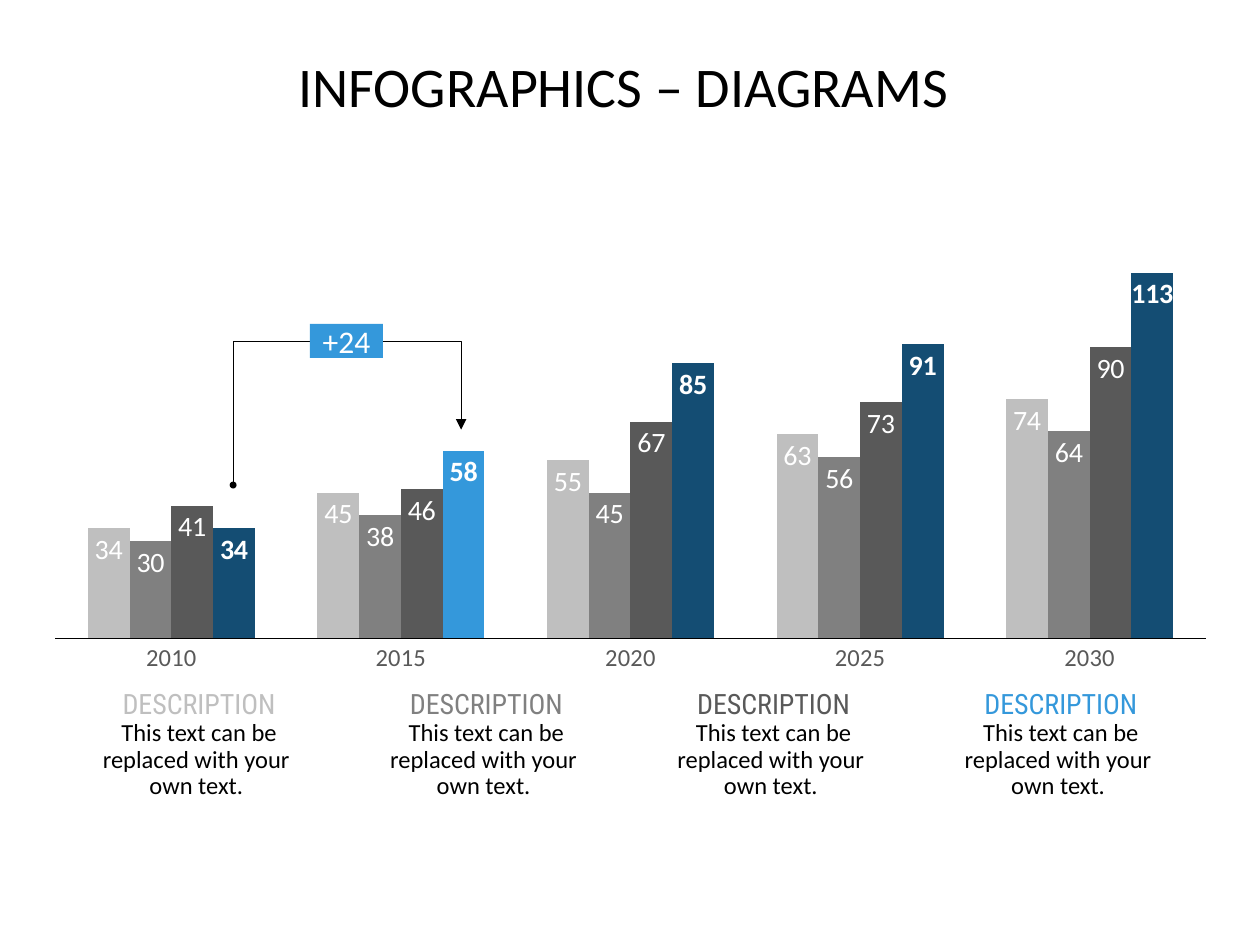
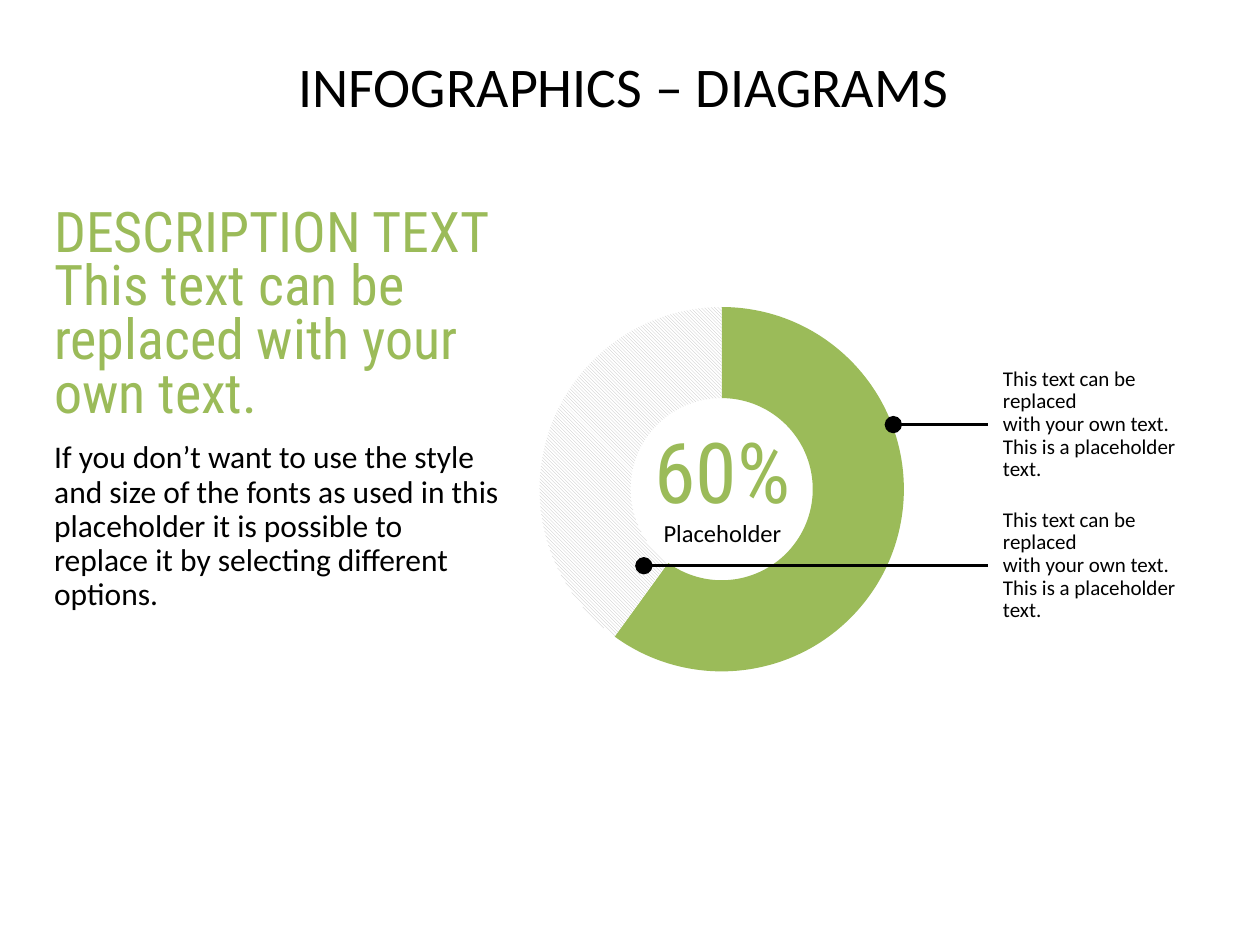
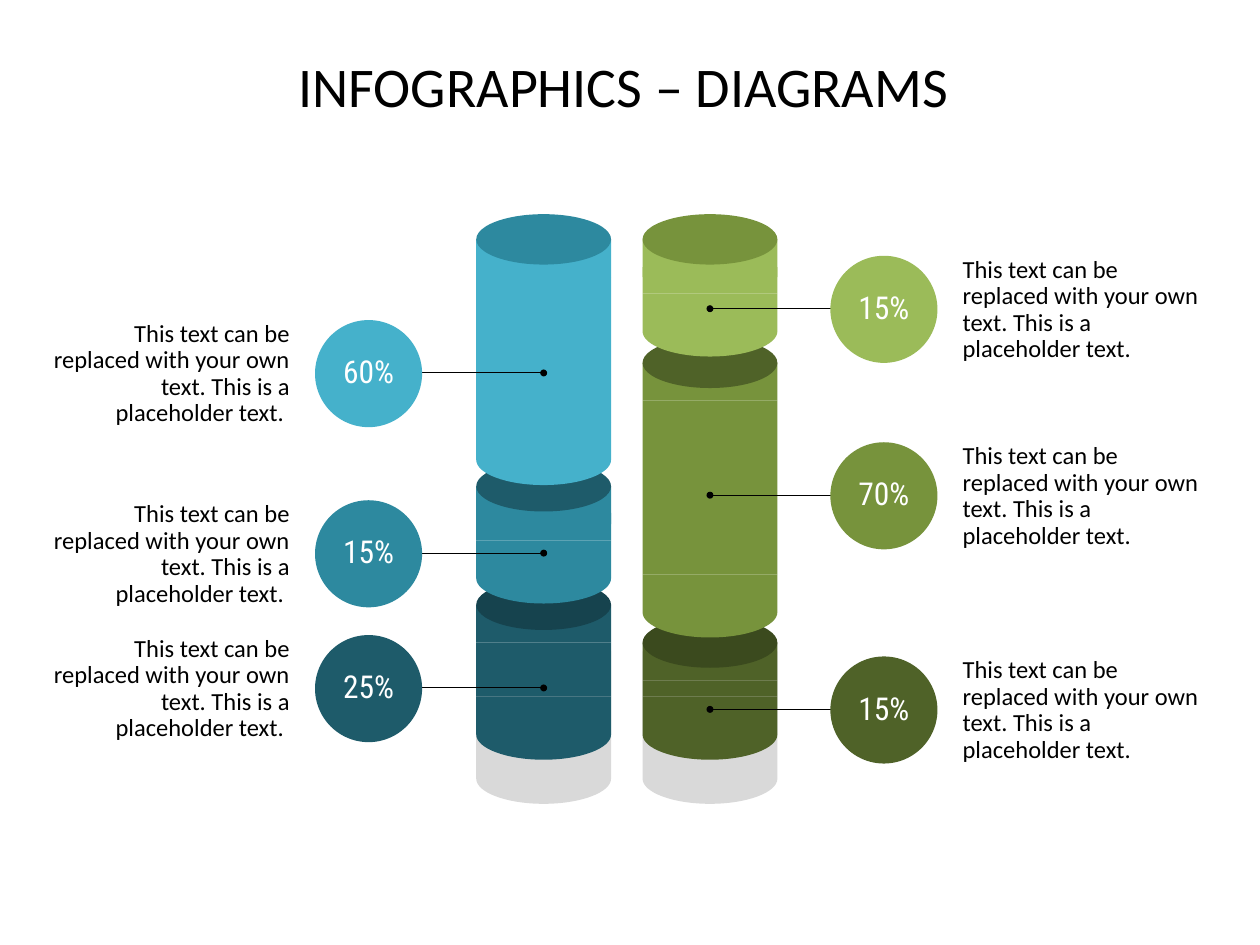
from copy import deepcopy

from lxml import etree
from pptx import Presentation
from pptx.chart.data import CategoryChartData
from pptx.dml.color import RGBColor
from pptx.enum.chart import XL_CHART_TYPE as CHART, XL_LABEL_POSITION as LABEL, XL_TICK_MARK as TICK
from pptx.enum.dml import MSO_PATTERN
from pptx.enum.shapes import MSO_CONNECTOR, MSO_SHAPE as SHAPE
from pptx.enum.text import MSO_ANCHOR as ANCHOR, MSO_AUTO_SIZE, PP_ALIGN as ALIGN
from pptx.oxml import parse_xml
from pptx.oxml.ns import nsdecls, qn
from pptx.shapes.connector import Connector
from pptx.util import Inches, Pt

BLACK = RGBColor(0, 0, 0)
WHITE = RGBColor(255, 255, 255)
PALE = RGBColor(0xD9, 0xD9, 0xD9)
SILVER = RGBColor(0xBF, 0xBF, 0xBF)
GRAY = RGBColor(0x80, 0x80, 0x80)
DARK = RGBColor(0x59, 0x59, 0x59)
NAVY = RGBColor(0x14, 0x4D, 0x73)
BLUE = RGBColor(0x34, 0x98, 0xDB)
TEAL_1 = RGBColor(0x45, 0xB1, 0xCB)
TEAL_2 = RGBColor(0x2D, 0x89, 0x9F)
TEAL_3 = RGBColor(0x1E, 0x5B, 0x6A)
TEAL_4 = RGBColor(0x16, 0x43, 0x4E)
GREEN_1 = RGBColor(0x9B, 0xBB, 0x59)
GREEN_2 = RGBColor(0x77, 0x93, 0x3C)
GREEN_3 = RGBColor(0x4F, 0x62, 0x28)
GREEN_4 = RGBColor(0x3B, 0x4A, 0x1E)
BODY = "Calibri"
HEAD = "Roboto Condensed"


def write(sp, text, size=14, font=BODY, color=BLACK, align=ALIGN.LEFT, line=0.9, after=10,
          ins=(0, 0, 0, 0), anchor=ANCHOR.TOP, join=False):
    tf = sp.text_frame
    if not join:
        tf.word_wrap = True
        tf.auto_size = MSO_AUTO_SIZE.NONE
        tf.vertical_anchor = anchor
        tf.margin_left, tf.margin_top, tf.margin_right, tf.margin_bottom = map(Inches, ins)
    p = tf.paragraphs[-1] if join or not tf.text else tf.add_paragraph()
    p.alignment, p.line_spacing = align, line
    p.space_before, p.space_after = Pt(0), Pt(after)
    for i, part in enumerate(text.split("\n")):
        if i:
            p.add_line_break()
            p._p[-1].append(deepcopy(r._r.rPr))
        if part:
            r = p.add_run()
            r.text = part
            r.font.size, r.font.name, r.font.bold = Pt(size), font, False
            r.font.color.rgb = color


def style(sp, fill=None, weight=0, head=None, tail=None, dot="sm"):
    if weight:
        sp.line.color.rgb = BLACK
        sp.line.width = Pt(weight)
        ln = sp.line._get_or_add_ln()
        for tag, kind in (("a:headEnd", head), ("a:tailEnd", tail)):
            if kind:
                end = etree.SubElement(ln, qn(tag))
                end.set("type", kind)
                if kind == "oval":
                    end.set("w", dot)
                    end.set("len", dot)
    else:
        sp.line.fill.background()
    if isinstance(sp, Connector):
        etree.SubElement(sp._element.spPr, qn("a:effectLst"))
        return
    sp.shadow.inherit = False
    if fill is None:
        sp.fill.background()
    else:
        sp.fill.solid()
        sp.fill.fore_color.rgb = fill


prs = Presentation()
prs.slide_width, prs.slide_height = Inches(10), Inches(7.5)
slides = []
for _ in range(3):
    s = prs.slides.add_slide(prs.slide_layouts[5])
    title = s.shapes.title
    title.left, title.top = Inches(0.43), Inches(0.47)
    title.width, title.height = Inches(9.14), Inches(1.18)
    write(title, "INFOGRAPHICS – DIAGRAMS ", size=32, align=ALIGN.CENTER, after=0)
    slides.append(s.shapes)
columns, ring, cylinders = slides

for i, color in enumerate((SILVER, GRAY, DARK, BLUE)):
    sp = columns.add_textbox(Inches(0.44 + 2.28 * i), Inches(5.5), Inches(2.28), Inches(0.85))
    write(sp, "DESCRIPTION\n", size=16, font=HEAD, color=color, align=ALIGN.CENTER,
          ins=(0.2, 0, 0.2, 0), anchor=ANCHOR.BOTTOM)
    write(sp, "This text can be replaced with your \nown text. ", align=ALIGN.CENTER, join=True)

bar_series = [
    ((34, 45, 55, 63, 74), SILVER),
    ((30, 38, 45, 56, 64), GRAY),
    ((41, 46, 67, 73, 90), DARK),
    ((34, 58, 85, 91, 113), NAVY),
]
data = CategoryChartData()
data.categories = ["2010", "2015", "2020", "2025", "2030"]
for n, (values, _) in enumerate(bar_series, 1):
    data.add_series(f"Series {n}", values)
bars = columns.add_chart(CHART.COLUMN_CLUSTERED, Inches(0.2), Inches(1.66),
                         Inches(9.58), Inches(3.97), data).chart
bars.plots[0].gap_width = 150
bars.plots[0].overlap = 0
bars.value_axis.visible = False
bars.value_axis.has_major_gridlines = False
bars.value_axis.minimum_scale, bars.value_axis.maximum_scale = 0, 120
axis = bars.category_axis
axis.major_tick_mark = axis.minor_tick_mark = TICK.NONE
axis.format.line.fill.background()
font = axis.tick_labels.font
font.size, font.name, font.bold = Pt(14), BODY, False
font.color.rgb = DARK
for series, (_, color) in zip(bars.plots[0].series, bar_series):
    series.format.fill.solid()
    series.format.fill.fore_color.rgb = color
    labels = series.data_labels
    labels.show_value = True
    labels.position = LABEL.INSIDE_END
    labels.font.size, labels.font.name = Pt(16), BODY
    labels.font.bold = color == NAVY
    labels.font.color.rgb = WHITE
fill = bars.plots[0].series[3].points[1].format.fill
fill.solid()
fill.fore_color.rgb = BLUE

fb = columns.build_freeform(Inches(1.85), Inches(3.85))
fb.add_line_segments([(Inches(x), Inches(y)) for x, y in ((1.85, 2.71), (3.66, 2.71), (3.66, 3.41))],
                     close=False)
style(fb.convert_to_shape(), weight=0.5, head="oval", tail="triangle")
sp = columns.add_shape(SHAPE.RECTANGLE, Inches(2.46), Inches(2.57), Inches(0.58), Inches(0.27))
style(sp, BLUE)
write(sp, "+24", size=18, color=WHITE, align=ALIGN.CENTER, line=1, after=0, anchor=ANCHOR.MIDDLE)
baseline = columns.add_connector(MSO_CONNECTOR.STRAIGHT, Inches(9.57), Inches(5.07),
                                 Inches(0.44), Inches(5.07))
style(baseline, weight=0.5)

sp = ring.add_textbox(Inches(0.43), Inches(1.66), Inches(3.55), Inches(4.69))
write(sp, "DESCRIPTION TEXT\nThis text can be replaced with your own text.",
      size=32, font=HEAD, color=GREEN_1, line=0.8)
write(sp, "If you don’t want to use the style and size of the fonts as used in this placeholder "
      "it is possible to replace it by selecting different options.", size=18)

data = CategoryChartData()
data.categories = ["1", "2"]
data.add_series("Series 1", (60, 40, None))
donut = ring.add_chart(CHART.DOUGHNUT, Inches(4.12), Inches(2.34),
                       Inches(3.15), Inches(3.12), data).chart
donut._chartSpace.find(".//" + qn("c:holeSize")).set("val", "61")
share, rest = (donut.plots[0].series[0].points[i].format for i in range(2))
share.fill.solid()
share.fill.fore_color.rgb = GREEN_1
rest.fill.patterned()
rest.fill.pattern = MSO_PATTERN.LIGHT_DOWNWARD_DIAGONAL
rest.fill.fore_color.rgb = SILVER
rest.fill.back_color.rgb = WHITE
share.line.fill.background()
rest.line.fill.background()

for chart, size, frame in ((bars, 21, (0.026, 0.082, 0.951, 0.776)),
                           (donut, 18, (0.047, 0.031, 0.927, 0.927))):
    chart.has_legend = chart.has_title = False
    chart.font.size, chart.font.name = Pt(size), BODY
    chart.font.color.rgb = BLACK
    sides = "".join(f'<c:{tag} val="{v}"/>' for tag, v in zip("xywh", frame))
    layout = parse_xml(
        f'<c:layout {nsdecls("c")}><c:manualLayout><c:layoutTarget val="inner"/>'
        f'<c:xMode val="edge"/><c:yMode val="edge"/>{sides}</c:manualLayout></c:layout>')
    area = chart._chartSpace.chart.plotArea
    for old in area.findall(qn("c:layout")):
        area.remove(old)
    area.insert(0, layout)

sp = ring.add_shape(SHAPE.OVAL, Inches(4.95), Inches(3.1), Inches(1.57), Inches(1.57))
style(sp)
write(sp, "60%\n", size=48, font=HEAD, color=GREEN_1, align=ALIGN.CENTER, anchor=ANCHOR.MIDDLE)
write(sp, "Placeholder", align=ALIGN.CENTER, join=True)
for x, y in ((5.11, 4.49), (7.09, 3.37)):
    sp = ring.add_textbox(Inches(7.84), Inches(y - 0.36), Inches(1.72), Inches(0.72))
    write(sp, "This text can be replaced \nwith your own text. This is a placeholder text.",
          size=12, ins=(0.12, 0, 0, 0), anchor=ANCHOR.MIDDLE)
    pointer = ring.add_connector(MSO_CONNECTOR.STRAIGHT, Inches(x), Inches(y), Inches(7.84), Inches(y))
    pointer.end_connect(sp, 1)
    style(pointer, weight=1.5, head="oval", dot="lg")

WIDTH = 1.07
MIDDLE = WIDTH / 2
COLLAR = 0.3
RIM = 0.4
BOTTOM = COLLAR + RIM / 2
BEND = 0.55
curves = [
    ((0, COLLAR + BEND * RIM / 2), (MIDDLE * (1 - BEND), BOTTOM)),
    ((MIDDLE * (1 + BEND), BOTTOM), (WIDTH, COLLAR + BEND * RIM / 2)),
]
teal_slices = [
    (4.6, 5.1, 5.53, 5.46, "25%", TEAL_3, TEAL_4),
    (3.66, 4.07, 4.29, 4.39, "15%", TEAL_2, TEAL_3),
    (1.7, 2.2, 3.35, 2.96, "60%", TEAL_1, TEAL_2),
]
green_slices = [
    (4.9, 5.4, 5.53, 5.63, "15%", GREEN_3, GREEN_4),
    (2.68, 3.18, 4.56, 3.93, "70%", GREEN_2, GREEN_3),
    (1.7, 2.12, 2.33, 2.45, "15%", GREEN_1, GREEN_2),
]
note = "This text can be replaced with your own text. This is a placeholder text."
stacks = [
    (3.78, teal_slices, 2.5, 0.4, 2.1, ALIGN.RIGHT, (0, 0, 0.2, 0), note + " "),
    (5.1, green_slices, 6.59, 7.44, 2.13, ALIGN.LEFT, (0.2, 0, 0, 0), note),
]
for x, slices, circle_x, note_x, note_width, align, ins, text in stacks:
    parts = [(None, 5.17, 5.88, PALE, None)]
    parts += [(rim, body, foot, color, shade) for rim, body, foot, _, _, color, shade in slices]
    for rim, body, foot, color, shade in parts:
        pieces = [(SHAPE.RECTANGLE, body, foot - body, color)]
        if shade:
            pieces += [(SHAPE.RECTANGLE, rim + RIM / 2, COLLAR, color), (SHAPE.OVAL, rim, RIM, shade)]
        for kind, top, height, tint in pieces:
            style(cylinders.add_shape(kind, Inches(x), Inches(top), Inches(WIDTH), Inches(height)), tint)
        fb = cylinders.build_freeform(Inches(x), Inches(foot))
        corners = ((0, COLLAR), (MIDDLE, BOTTOM), (WIDTH, COLLAR), (WIDTH, 0))
        fb.add_line_segments([(Inches(x + dx), Inches(foot + dy)) for dx, dy in corners])
        sp = fb.convert_to_shape()
        for segment, controls in zip(sp._element.findall(".//" + qn("a:lnTo"))[1:3], curves):
            segment.tag = qn("a:cubicBezTo")
            for i, (dx, dy) in enumerate(controls):
                pt = etree.Element(qn("a:pt"), x=str(Inches(dx)), y=str(Inches(dy)))
                segment.insert(i, pt)
        style(sp, color)
    for _, _, _, y, percent, color, _ in slices:
        pointer = cylinders.add_connector(MSO_CONNECTOR.STRAIGHT, Inches(circle_x + 0.43), Inches(y),
                                          Inches(x + MIDDLE), Inches(y))
        style(pointer, weight=0.5, tail="oval")
        sp = cylinders.add_shape(SHAPE.OVAL, Inches(circle_x), Inches(y - 0.42), Inches(0.85), Inches(0.85))
        style(sp, color)
        write(sp, percent, size=18, font=HEAD, color=WHITE, align=ALIGN.CENTER, anchor=ANCHOR.MIDDLE)
        sp = cylinders.add_textbox(Inches(note_x), Inches(y - 0.47), Inches(note_width), Inches(0.96))
        write(sp, text, align=align, ins=ins, anchor=ANCHOR.MIDDLE)

prs.save("out.pptx")
